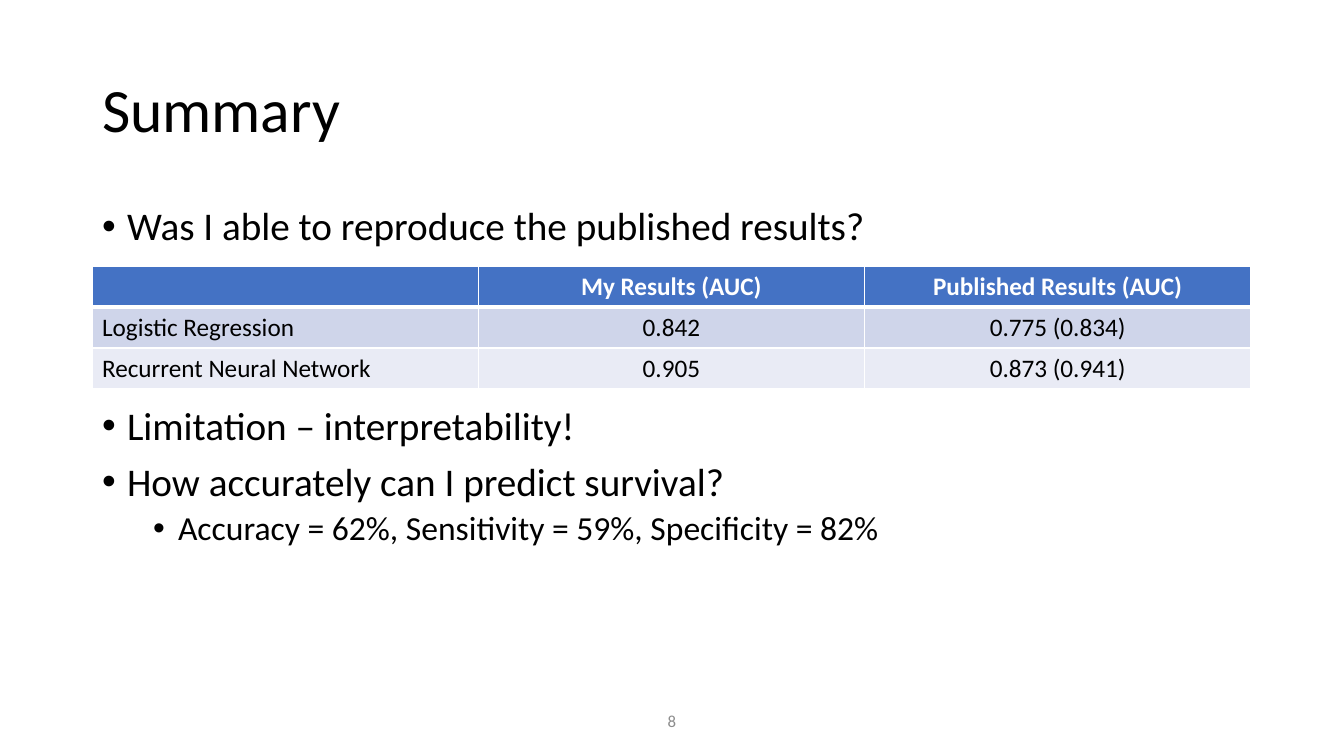
from dataclasses import dataclass

from lxml.etree import SubElement
from pptx import Presentation
from pptx.dml.color import RGBColor
from pptx.enum.text import MSO_ANCHOR, MSO_AUTO_SIZE, PP_ALIGN
from pptx.oxml.ns import qn
from pptx.util import Emu, Pt


@dataclass(frozen=True)
class Theme:
    font: str = "Calibri"
    ink: str = "000000"
    paper: str = "FFFFFF"
    muted: str = "8C8C8C"
    header_fill: str = "4472C4"
    band_fills: tuple[str, str] = ("CFD5EA", "E9EBF5")
    title_size: int = 44
    bullet_sizes: tuple[int, int] = (28, 24)
    table_size: int = 18
    number_size: int = 12


@dataclass(frozen=True)
class Box:
    left: int
    top: int
    width: int
    height: int


@dataclass(frozen=True)
class Bullet:
    text: str
    level: int
    space_before: int


THEME = Theme()
SLIDE_WIDTH, SLIDE_HEIGHT = 1344, 756
TITLE_BOX = Box(92, 40, 1159, 146)
BODY_BOX = Box(92, 202, 1159, 480)
RESULTS_BOX = Box(92, 266, 1159, 123)
NUMBER_BOX = Box(521, 701, 302, 40)
BULLET_INDENTS = (25, 76)
BULLET_HANG = 25

# The second bullet's space leaves room for the results table
BULLETS = [
    Bullet("Was I able to reproduce the published results?", 0, 10),
    Bullet("Limitation – interpretability!", 0, 112),
    Bullet("How accurately can I predict survival?", 0, 10),
    Bullet("Accuracy = 62%, Sensitivity = 59%, Specificity = 82%", 1, 5),
]
RESULTS = [
    ("", "My Results (AUC)", "Published Results (AUC)"),
    ("Logistic Regression", "0.842", "0.775 (0.834)"),
    ("Recurrent Neural Network", "0.905", "0.873 (0.941)"),
]


def px(length: int) -> Emu:
    return Emu(round(length * 914400 / 100.8))


def bounds(box: Box) -> tuple[Emu, Emu, Emu, Emu]:
    return px(box.left), px(box.top), px(box.width), px(box.height)


def place(placeholder, box: Box) -> None:
    placeholder.left, placeholder.top, placeholder.width, placeholder.height = bounds(box)


def style(paragraph, size: int, color: str, align=PP_ALIGN.LEFT, bold: bool = False) -> None:
    paragraph.alignment = align
    paragraph.font.name = THEME.font
    paragraph.font.size = Pt(size)
    paragraph.font.bold = bold
    paragraph.font.color.rgb = RGBColor.from_string(color)


def write_title(title) -> None:
    place(title, TITLE_BOX)
    frame = title.text_frame
    frame.text = "Summary"
    frame.auto_size = MSO_AUTO_SIZE.NONE
    frame.vertical_anchor = MSO_ANCHOR.MIDDLE
    frame.paragraphs[0].line_spacing = 0.9
    style(frame.paragraphs[0], THEME.title_size, THEME.ink)


def write_bullets(body, bullets: list[Bullet]) -> None:
    place(body, BODY_BOX)
    frame = body.text_frame
    frame.text = "\n".join(bullet.text for bullet in bullets)
    frame.auto_size = MSO_AUTO_SIZE.NONE
    for paragraph, bullet in zip(frame.paragraphs, bullets):
        paragraph.level = bullet.level
        paragraph.line_spacing = 0.9
        paragraph.space_before = Pt(bullet.space_before)
        properties = paragraph._p.get_or_add_pPr()
        properties.set("marL", str(px(BULLET_INDENTS[bullet.level])))
        properties.set("indent", str(-px(BULLET_HANG)))
        SubElement(properties, qn("a:buFont"), typeface="Arial")
        SubElement(properties, qn("a:buChar"), char="•")
        style(paragraph, THEME.bullet_sizes[bullet.level], THEME.ink)


def add_borders(cell, top: int, bottom: int) -> None:
    properties = cell._tc.get_or_add_tcPr()
    for side, points in (("L", 1), ("R", 1), ("T", top), ("B", bottom)):
        line = SubElement(properties, qn(f"a:ln{side}"), w=str(Pt(points)))
        fill = SubElement(line, qn("a:solidFill"))
        SubElement(fill, qn("a:srgbClr"), val=THEME.paper)


def add_results(slide, rows: list[tuple[str, str, str]]) -> None:
    table = slide.shapes.add_table(len(rows), len(rows[0]), *bounds(RESULTS_BOX)).table
    for row, values in enumerate(rows):
        header = row == 0
        fill = THEME.header_fill if header else THEME.band_fills[(row - 1) % 2]
        for column, value in enumerate(values):
            cell = table.cell(row, column)
            cell.text = value
            add_borders(cell, top=3 if row == 1 else 1, bottom=3 if header else 1)
            cell.fill.solid()
            cell.fill.fore_color.rgb = RGBColor.from_string(fill)
            align = PP_ALIGN.CENTER if column else PP_ALIGN.LEFT
            color = THEME.paper if header else THEME.ink
            style(cell.text_frame.paragraphs[0], THEME.table_size, color, align, header)


def add_page_number(slide, number: str) -> None:
    frame = slide.shapes.add_textbox(*bounds(NUMBER_BOX)).text_frame
    frame.word_wrap = True
    frame.vertical_anchor = MSO_ANCHOR.MIDDLE
    frame.text = number
    style(frame.paragraphs[0], THEME.number_size, THEME.muted, PP_ALIGN.CENTER)


def main() -> None:
    presentation = Presentation()
    presentation.slide_width = px(SLIDE_WIDTH)
    presentation.slide_height = px(SLIDE_HEIGHT)
    slide = presentation.slides.add_slide(presentation.slide_layouts[1])

    # Title and list
    write_title(slide.shapes.title)
    write_bullets(slide.placeholders[1], BULLETS)

    # Results table and page number
    add_results(slide, RESULTS)
    add_page_number(slide, "8")

    presentation.save("out.pptx")


if __name__ == "__main__":
    main()
